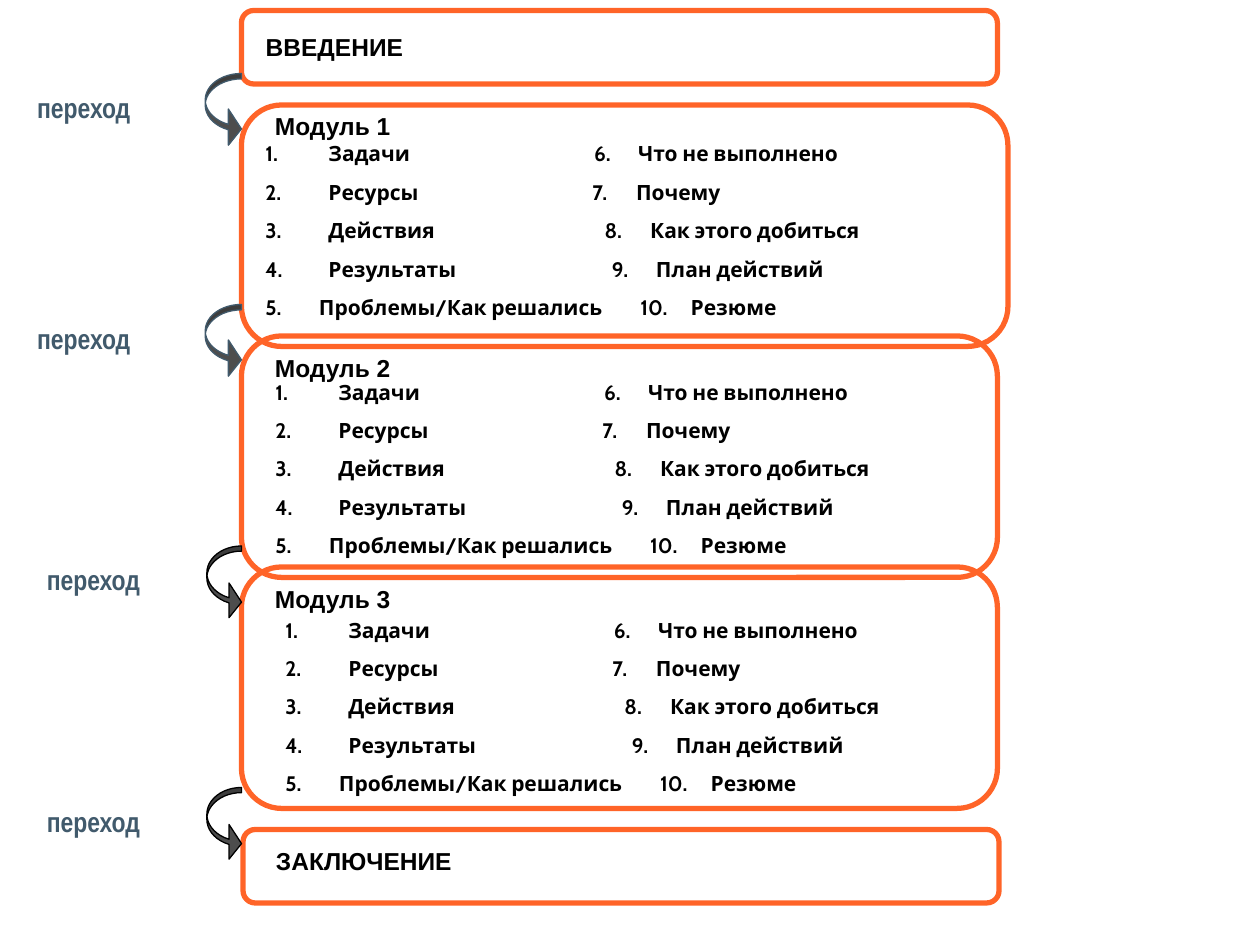
from typing import NamedTuple

from lxml.etree import SubElement
from pptx import Presentation
from pptx.dml.color import RGBColor
from pptx.enum.shapes import MSO_SHAPE as Shape
from pptx.enum.text import MSO_ANCHOR as Anchor, MSO_AUTO_SIZE as AutoSize, PP_ALIGN as Align
from pptx.oxml.ns import qn
from pptx.util import Inches, Pt

COLUMNS, ROWS = 120, 90
UNIT = Inches(10) / COLUMNS
ORANGE, SLATE, BLACK, GRAY = "FF6428", "415A6C", "000000", "4D4D4D"


class Area(NamedTuple):
    left: float
    top: float
    width: float
    height: float


class Step(NamedTuple):
    text: str
    stops: tuple[float, float, float]


class Module(NamedTuple):
    frame: Area
    heading: Area
    steps: Area


class Transition(NamedTuple):
    arrow: Area
    label: Area
    outline: str


STEPS = [
    Step("1.\tЗадачи\t6.\tЧто не выполнено", (6, 31.3, 35.5)),
    Step("2.\tРесурсы\t7.\tПочему", (6, 31.15, 35.3)),
    Step("3.\tДействия\t8.\tКак этого добиться", (6, 32.3, 36.65)),
    Step("4.\tРезультаты\t9.\tПлан действий", (6, 33, 37.2)),
    Step("5.\tПроблемы/Как решались\t10.\tРезюме", (5.1, 35.7, 40.5)),
]
MODULES = [
    Module(Area(23, 10, 73, 23), Area(25, 10, 66, 4.1), Area(24.1, 12.84, 67.9, 18.3)),
    Module(Area(23, 32, 72, 23), Area(25, 33, 66, 4.1), Area(25.05, 35.52, 67.9, 18.3)),
    Module(Area(23, 54, 72, 23), Area(25, 55, 66, 4.1), Area(26, 58.2, 67.9, 18.3)),
]
TRANSITIONS = [
    Transition(Area(19.55, 7, 3.45, 7), Area(2.36, 8, 14.9, 4.4), SLATE),
    Transition(Area(19.55, 29, 3.45, 7), Area(2.36, 30, 14.9, 4.4), SLATE),
    Transition(Area(19.7, 52, 3.3, 7), Area(3.28, 53, 14.3, 4.4), BLACK),
    Transition(Area(19.7, 75, 3.3, 7), Area(3.28, 76, 14.3, 4.4), BLACK),
]


def rgb(code: str) -> RGBColor:
    return RGBColor.from_string(code)


def emu(units: float) -> int:
    return round(units * UNIT)


def write(shape, area: Area, lines: list[str], font: str, size: float, color: str = BLACK):
    shape.left, shape.top, shape.width, shape.height = map(emu, area)
    frame = shape.text_frame
    frame.word_wrap = True
    frame.auto_size = AutoSize.NONE
    frame.vertical_anchor = Anchor.TOP
    frame.text = "\n".join(lines)
    for index, paragraph in enumerate(frame.paragraphs):
        paragraph.alignment = Align.LEFT
        paragraph.space_before = Pt(7.5 if index else 0)
        paragraph.font.name = font
        paragraph.font.size = Pt(size)
        paragraph.font.bold = True
        paragraph.font.color.rgb = rgb(color)
    return frame


def text_box(slide):
    return slide.shapes.add_textbox(0, 0, emu(1), emu(1))


def step_list(slide, area: Area) -> None:
    frame = write(text_box(slide), area, [step.text for step in STEPS], "Cabin", 12)
    for paragraph, step in zip(frame.paragraphs, STEPS):
        properties = paragraph._p.get_or_add_pPr()
        tabs = SubElement(properties, qn("a:tabLst"))
        for stop in step.stops:
            SubElement(tabs, qn("a:tab"), pos=str(emu(stop)), algn="l")
        properties.find(qn("a:defRPr")).addprevious(tabs)


def outlined(slide, preset, area: Area, color: str, width: float):
    shape = slide.shapes.add_shape(preset, *map(emu, area))
    shape.shadow.inherit = False
    shape.fill.background()
    shape.line.color.rgb = rgb(color)
    shape.line.width = Pt(width)
    return shape


def rounded_frame(slide, area: Area) -> None:
    outlined(slide, Shape.ROUNDED_RECTANGLE, area, ORANGE, 3)


def curved_arrow(slide, area: Area, outline: str) -> None:
    arrow = outlined(slide, Shape.CURVED_RIGHT_ARROW, area, outline, 0.75)
    arrow.fill.solid()
    arrow.fill.fore_color.rgb = rgb(GRAY)
    for index, share in enumerate((0.15, 1, 0.36)):
        arrow.adjustments[index] = share


def main() -> None:
    deck = Presentation()
    deck.slide_width, deck.slide_height = emu(COLUMNS), emu(ROWS)
    slide = deck.slides.add_slide(deck.slide_layouts[5])

    rounded_frame(slide, Area(23, 1, 72, 7))
    write(slide.shapes.title, Area(24.1, 2.45, 43, 4.1), ["ВВЕДЕНИЕ"], "Arial", 14)

    for number, module in enumerate(MODULES, 1):
        rounded_frame(slide, module.frame)
        write(text_box(slide), module.heading, [f"Модуль {number}"], "Arial", 14)
        step_list(slide, module.steps)

    rounded_frame(slide, Area(23.15, 79, 72, 7))
    write(text_box(slide), Area(25.1, 80, 21, 4.1), ["ЗАКЛЮЧЕНИЕ"], "Arial", 14)

    for transition in TRANSITIONS:
        curved_arrow(slide, transition.arrow, transition.outline)
        write(text_box(slide), transition.label, ["переход"], "Arial Narrow", 16, SLATE)

    deck.save("out.pptx")


if __name__ == "__main__":
    main()
